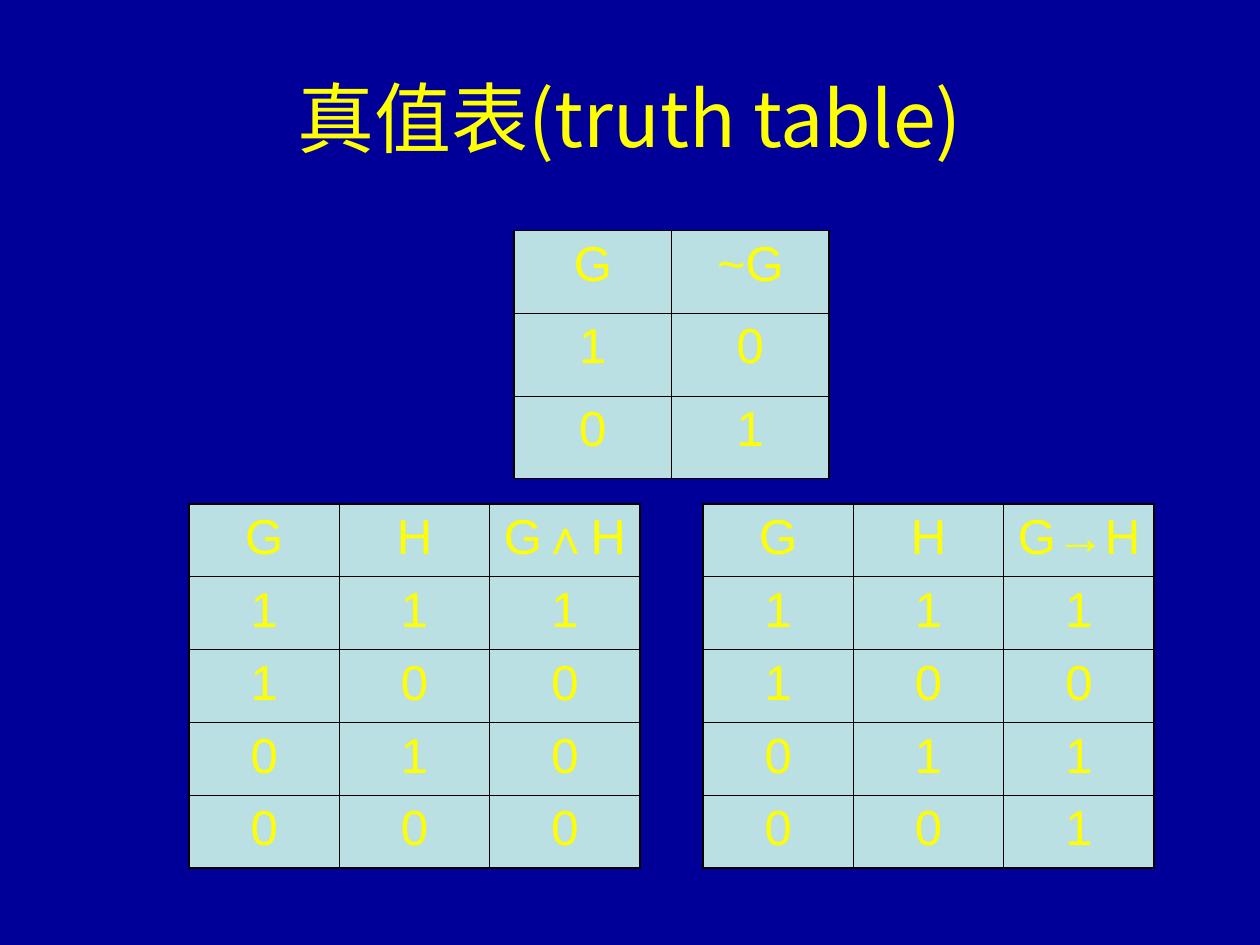
from lxml.etree import SubElement
from pptx import Presentation
from pptx.dml.color import RGBColor
from pptx.enum.text import MSO_ANCHOR, PP_ALIGN
from pptx.oxml.ns import qn
from pptx.util import Inches, Pt

NAVY, YELLOW, PALE, BLACK = "000099", "FFFF00", "BBE0E3", "000000"
CJK = "Noto Sans CJK SC"
OUTER, INNER = 1.08, 0.45


def rgb(value):
    """Turn a hex string into a colour."""
    return RGBColor.from_string(value)


def style(p, size, name):
    """Centre a paragraph and set its font."""
    p.alignment = PP_ALIGN.CENTER
    p.font.size = Pt(size)
    p.font.color.rgb = rgb(YELLOW)
    p.font.name = name


def add_title(s, text, left, top, width, height):
    """Place the title in the given box."""
    tf = s.shapes.add_textbox(Inches(left), Inches(top), Inches(width), Inches(height)).text_frame
    tf.word_wrap = True
    tf.vertical_anchor = MSO_ANCHOR.MIDDLE
    p = tf.paragraphs[0]
    p.text = text
    style(p, 44, CJK)
    SubElement(p.font._element, qn("a:ea"), typeface=CJK)


def add_border(cell, side, points):
    """Draw one side of a cell."""
    ln = SubElement(cell._tc.get_or_add_tcPr(), qn(f"a:ln{side}"), w=str(Pt(points)))
    SubElement(SubElement(ln, qn("a:solidFill")), qn("a:srgbClr"), val=BLACK)


def add_truth_table(s, rows, left, top, width, height):
    """Place a truth table with a heavier outline in the given box."""
    n, m = len(rows), len(rows[0])
    table = s.shapes.add_table(n, m, Inches(left), Inches(top), Inches(width), Inches(height)).table
    table.first_row = table.horz_banding = False
    for i, row in enumerate(rows):
        for j, text in enumerate(row):
            cell = table.cell(i, j)
            edges = {"L": j == 0, "R": j == m - 1, "T": i == 0, "B": i == n - 1}
            for side, outer in edges.items():
                add_border(cell, side, OUTER if outer else INNER)
            cell.fill.solid()
            cell.fill.fore_color.rgb = rgb(PALE)
            p = cell.text_frame.paragraphs[0]
            p.text = text
            style(p, 28, "Arial")


def binary_rows(formula, results):
    """List the rows of a two-variable truth table."""
    return [["G", "H", formula]] + [[*pair, value] for pair, value in zip(("11", "10", "01", "00"), results)]


def main():
    """Build the slide."""
    prs = Presentation()
    prs.slide_width, prs.slide_height = Inches(10), Inches(7.5)
    s = prs.slides.add_slide(prs.slide_layouts[6])
    s.background.fill.solid()
    s.background.fill.fore_color.rgb = rgb(NAVY)
    add_title(s, "真值表(truth table)", 0.5, 0.3, 9, 1.25)
    add_truth_table(s, binary_rows("G∧H", "1000"), 1.5, 4, 3.58, 2.89)
    add_truth_table(s, binary_rows("G→H", "1011"), 5.58, 4, 3.58, 2.89)
    add_truth_table(s, [["G", "~G"], ["1", "0"], ["0", "1"]], 4.08, 1.83, 2.5, 1.97)
    prs.save("out.pptx")


if __name__ == "__main__":
    main()
